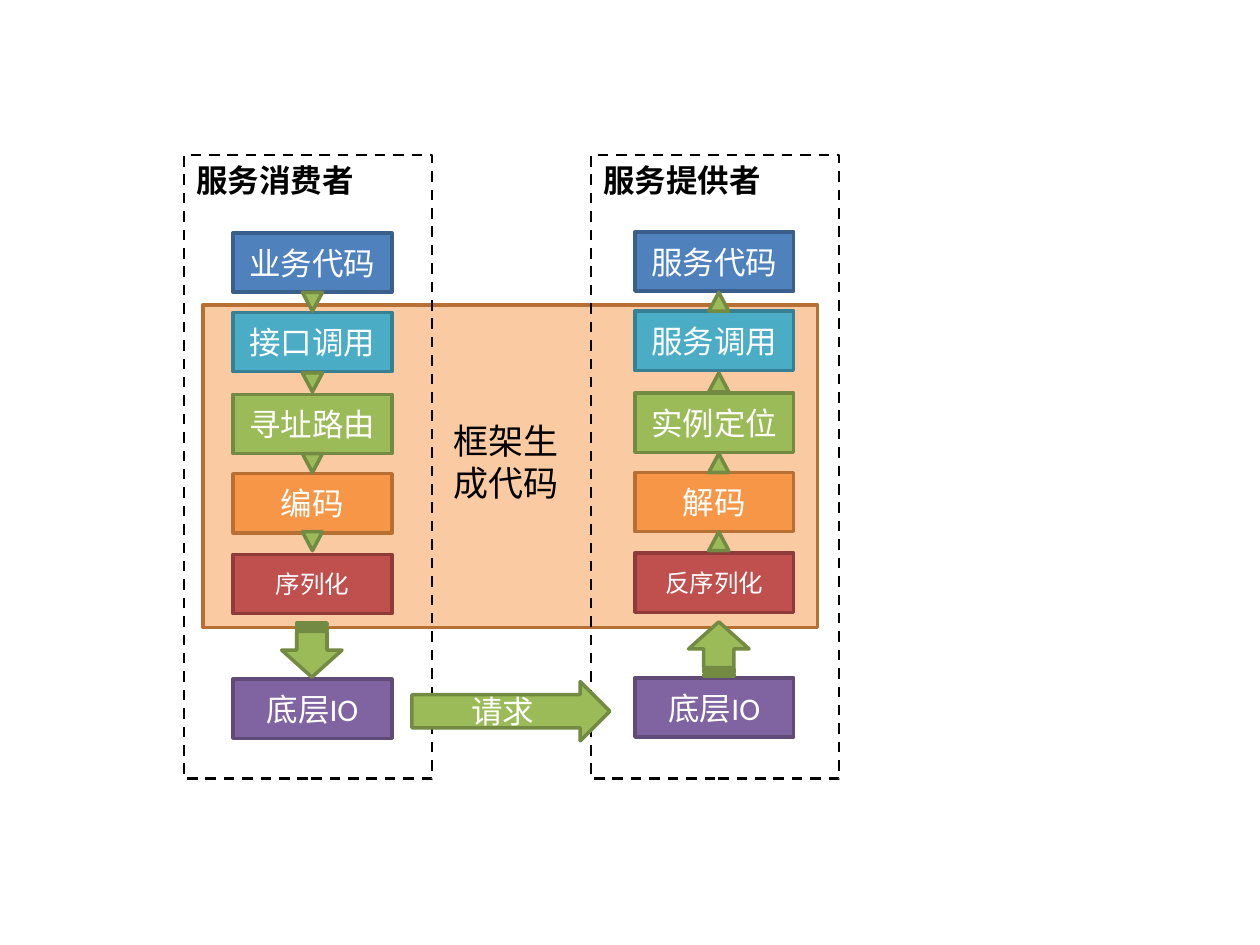
from lxml import etree
from pptx import Presentation
from pptx.dml.color import RGBColor
from pptx.enum.dml import MSO_LINE
from pptx.enum.shapes import MSO_SHAPE
from pptx.enum.text import MSO_ANCHOR, PP_ALIGN
from pptx.oxml.ns import qn
from pptx.util import Inches, Pt

RECT = MSO_SHAPE.RECTANGLE
RIGHT_ARROW = MSO_SHAPE.RIGHT_ARROW
STRIPED_ARROW = MSO_SHAPE.STRIPED_RIGHT_ARROW
DOWN_MARK = MSO_SHAPE.FLOWCHART_MERGE
UP_MARK = MSO_SHAPE.FLOWCHART_EXTRACT
DASH = MSO_LINE.DASH
TOP, MIDDLE = MSO_ANCHOR.TOP, MSO_ANCHOR.MIDDLE
LEFT, CENTER = PP_ALIGN.LEFT, PP_ALIGN.CENTER

BLUE = ("4F81BD", "3A5F8C")
TEAL = ("4BACC6", "377F92")
GREEN = ("9BBB59", "738A42")
ORANGE = ("F79646", "B76F34")
RED = ("C0504D", "8E3B39")
PURPLE = ("8064A2", "5F4A78")
BLACK, WHITE = "000000", "FFFFFF"


def color(value):
    return RGBColor.from_string(value)


def write(shape, text, size=18, ink=WHITE, bold=False, align=CENTER, anchor=MIDDLE):
    frame = shape.text_frame
    frame.word_wrap = True
    frame.vertical_anchor = anchor
    paragraph = frame.paragraphs[0]
    paragraph.alignment = align
    run = paragraph.add_run()
    run.text = text
    run.font.name = "Calibri"
    run.font.size = Pt(size)
    run.font.bold = bold
    run.font.color.rgb = color(ink)


class Diagram:
    columns, rows = 100, 75
    line_width = 2

    def __init__(self):
        self.deck = Presentation()
        self.deck.slide_width = Inches(10)
        self.deck.slide_height = Inches(7.5)
        self.slide = self.deck.slides.add_slide(self.deck.slide_layouts[6])

    def place(self, column, row, width, height):
        unit_x = self.deck.slide_width / self.columns
        unit_y = self.deck.slide_height / self.rows
        return (round(column * unit_x), round(row * unit_y),
                round(width * unit_x), round(height * unit_y))

    def block(self, kind, area, colors, text=None, size=18, rotation=0):
        shape = self.slide.shapes.add_shape(kind, *self.place(*area))
        shape.shadow.inherit = False
        shape.rotation = rotation
        shape.fill.solid()
        shape.fill.fore_color.rgb = color(colors[0])
        shape.line.color.rgb = color(colors[1])
        shape.line.width = Pt(self.line_width)
        if text:
            write(shape, text, size=size)
        return shape

    def panel(self, area, colors, opacity):
        shape = self.block(RECT, area, colors)
        fill = shape.fill._xPr.find(qn("a:solidFill"))
        etree.SubElement(fill[0], qn("a:alpha")).set("val", str(opacity * 1000))

    def lane(self, area, title):
        shape = self.block(RECT, area, (WHITE, BLACK))
        shape.fill.background()
        shape.line.width = Pt(1.5)
        shape.line.dash_style = DASH
        write(shape, title, ink=BLACK, bold=True, align=LEFT, anchor=TOP)

    def label(self, area, text, size):
        box = self.slide.shapes.add_textbox(*self.place(*area))
        write(box, text, size=size, ink=BLACK, align=LEFT, anchor=TOP)


STEP_WIDTH, STEP_HEIGHT = 12.6, 4.7
STEP_ROWS = (18.5, 24.8, 31.3, 37.6, 44, 53.9)
STEP_COLORS = (BLUE, TEAL, GREEN, ORANGE, RED, PURPLE)
STEP_SIZES = (18, 18, 18, 18, 14, 18)
MARK_ROWS = (23.2, 29.6, 36, 42.2)
MARK_WIDTH, MARK_HEIGHT = 1.6, 1.5

SIDES = (
    ("服务消费者", 14.6, 18.5, 0, DOWN_MARK, 24, 90, 22.6,
     ("业务代码", "接口调用", "寻址路由", "编码", "序列化", "底层IO")),
    ("服务提供者", 46.9, 50.4, -0.1, UP_MARK, 56.25, 270, 54.9,
     ("服务代码", "服务调用", "实例定位", "解码", "反序列化", "底层IO")),
)

diagram = Diagram()
diagram.panel((16.1, 24.2, 48.8, 25.6), ORANGE, opacity=50)
for title, lane_column, *_ in SIDES:
    diagram.lane((lane_column, 12.3, 19.7, 49.5), title)

for _, _, step_column, shift, mark, mark_column, turn, arrow_column, steps in SIDES:
    for step, row, colors, size in zip(steps, STEP_ROWS, STEP_COLORS, STEP_SIZES):
        diagram.block(RECT, (step_column, row + shift, STEP_WIDTH, STEP_HEIGHT),
                      colors, step, size)
    diagram.block(STRIPED_ARROW, (arrow_column, 49.2 + shift, 4.3, 4.8), GREEN,
                  rotation=turn)
    for row in MARK_ROWS:
        diagram.block(mark, (mark_column, row, MARK_WIDTH, MARK_HEIGHT), GREEN)

request = diagram.block(RIGHT_ARROW, (32.7, 54.1, 15.7, 4.7), GREEN, "请求")
request.adjustments[0] = 0.56
diagram.label((35, 32.8, 11, 7.7), "框架生成代码", size=20)

diagram.deck.save("out.pptx")
